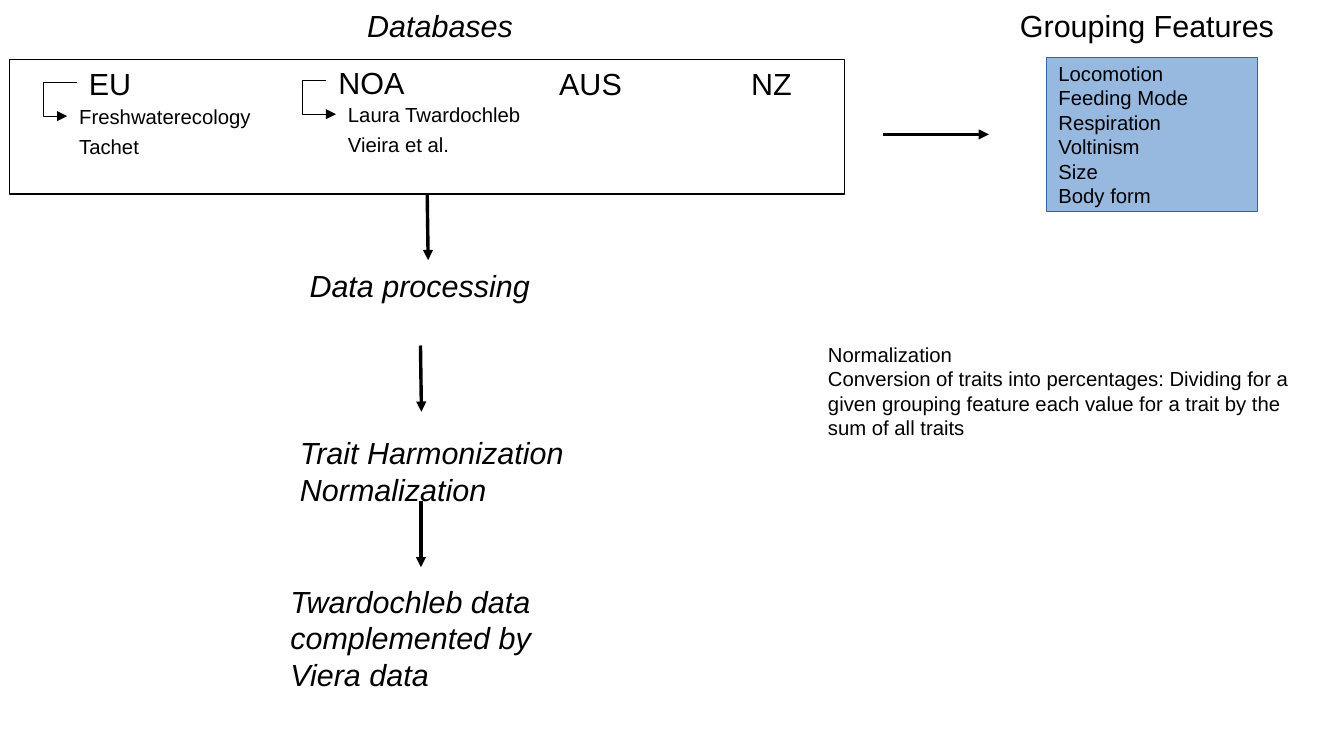
import pptx
import pptx.util
import pptx.dml.color
import pptx.enum.shapes
import pptx.enum.text
import pptx.oxml
import pptx.oxml.ns
import lxml.etree

deck = pptx.Presentation()
deck.slide_width = pptx.util.Inches(11.02)
deck.slide_height = pptx.util.Inches(6.2)
cell = deck.slide_width / 140  # square grid, 140 columns wide
slide = deck.slides.add_slide(deck.slide_layouts[6])
shapes = slide.shapes
qn = pptx.oxml.ns.qn
kinds = pptx.enum.shapes.MSO_CONNECTOR
rect = pptx.enum.shapes.MSO_SHAPE.RECTANGLE
grow = pptx.enum.text.MSO_AUTO_SIZE.SHAPE_TO_FIT_TEXT


def paint(color, code):
    color.rgb = pptx.dml.color.RGBColor.from_string(code)


def write(shape, lines, size, slant=False):
    frame = shape.text_frame
    frame.word_wrap = True
    frame.text = "\n".join(lines)
    style = {"name": "Arial", "size": pptx.util.Pt(size), "italic": slant}
    for para in frame.paragraphs:
        para.alignment = pptx.enum.text.PP_ALIGN.LEFT
        for key, value in style.items():
            setattr(para.font, key, value)
        paint(para.font.color, "000000")


# Frames: left, top, width, height, fill, line, line width, lines of text
features = ["Locomotion", "Feeding Mode", "Respiration", "Voltinism", "Size", "Body form"]
frames = [
    (109, 6, 22, 16, "7DA7D8", "3465A4", 0, features),
    (1, 6.2, 87, 14, None, "000000", 0.79, []),
]
for *place, fill, edge, width, lines in frames:
    box = shapes.add_shape(rect, *[round(n * cell) for n in place])
    box.shadow.inherit = False
    box.line.width = pptx.util.Pt(width)
    paint(box.line.color, edge)
    if fill:
        box.fill.solid()
        paint(box.fill.fore_color, fill)
        tint = box.fill._xPr.find(".//" + qn("a:srgbClr"))
        lxml.etree.SubElement(tint, qn("a:alpha"), val="80000")
        box.text_frame.vertical_anchor = pptx.enum.text.MSO_ANCHOR.MIDDLE
        write(box, lines, 12)
    else:
        box.fill.background()

# Texts: left, top, width, height, size, italic, lines
texts = [
    (37, 0.15, 19, 4.8, 18, True, ["Databases"]),
    (105, 0.15, 30, 4.8, 18, False, ["Grouping Features"]),
    (8, 6.2, 22, 4.8, 18, False, ["EU"]),
    (34, 6, 22, 4.8, 18, False, ["NOA"]),
    (57, 6.2, 22, 4.8, 18, False, ["AUS"]),
    (77, 6.2, 22, 4.8, 18, False, ["NZ"]),
    (7, 10.2, 31, 3.8, 12, False, ["Freshwaterecology"]),
    (7, 13.35, 31, 3.8, 12, False, ["Tachet"]),
    (35, 10, 31, 3.8, 12, False, ["Laura Twardochleb"]),
    (35, 13.2, 31, 3.8, 12, False, ["Vieira et al."]),
    (31, 27.2, 30, 4.8, 18, True, ["Data processing"]),
    (30, 44.6, 30, 8.4, 18, True, ["Trait Harmonization", "Normalization"]),
    (29, 60.1, 35, 12, 18, True, ["Twardochleb data complemented by Viera data"]),
    (85, 35, 51, 10.8, 12, False, [
        "Normalization",
        "Conversion of traits into percentages: Dividing for a given grouping "
        "feature each value for a trait by the sum of all traits"]),
]
for *place, size, slant, lines in texts:
    box = shapes.add_textbox(*[round(n * cell) for n in place])
    write(box, lines, size, slant)
    box.text_frame.auto_size = grow

# Arrows: from, to, line width, bend as a share of the run
arrows = [
    (8, 8.6, 7, 12.1, 0.5, 3.5),
    (34, 8.4, 35, 11.9, 0.5, -2.5),
    (92, 14, 103, 14, 0, None),
    (44.5, 20.2, 44.6, 27.1, 0, None),
    (43.8, 36, 43.9, 42.9, 0, None),
    (43.85, 52.2, 43.85, 59.1, 0, None),
]
for *ends, width, bend in arrows:
    kind = kinds.ELBOW if bend else kinds.STRAIGHT
    arrow = shapes.add_connector(kind, *[round(n * cell) for n in ends])
    arrow.line.width = pptx.util.Pt(width)
    paint(arrow.line.color, "000000")
    props = arrow._element.spPr
    lxml.etree.SubElement(props.find(qn("a:ln")), qn("a:tailEnd"), type="triangle")
    lxml.etree.SubElement(props, qn("a:effectLst"))
    if bend:
        guides = props.find(".//" + qn("a:avLst"))
        lxml.etree.SubElement(guides, qn("a:gd"), name="adj1", fmla=f"val {round(bend * 100000)}")

deck.save("out.pptx")
